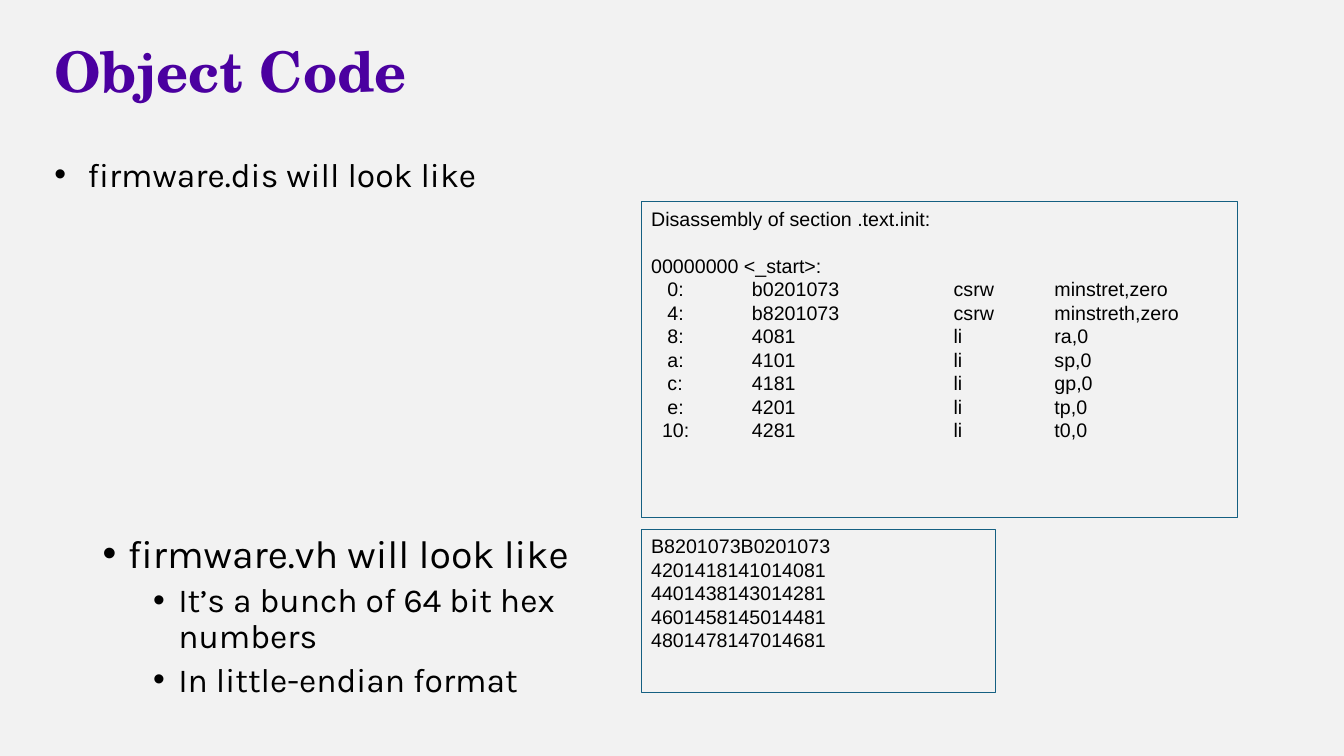
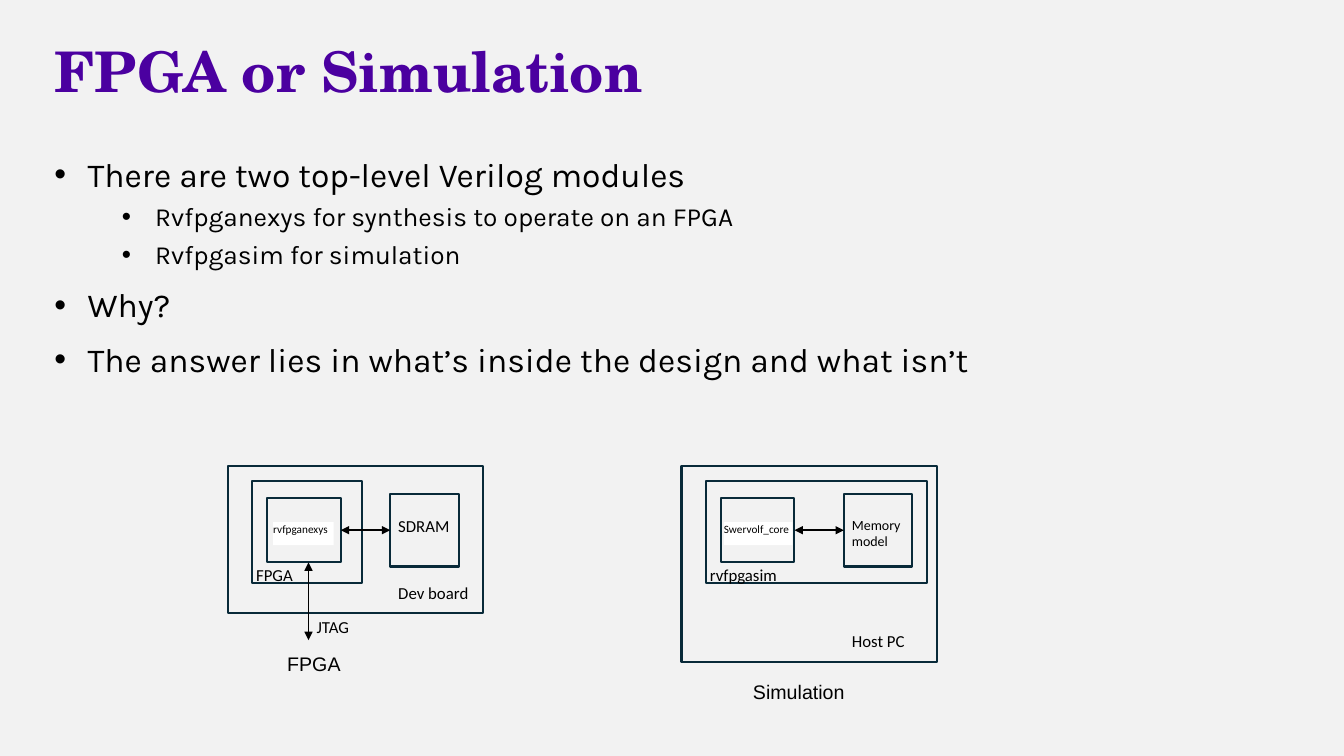
from dataclasses import dataclass

from lxml import etree
from pptx import Presentation
from pptx.dml.color import RGBColor
from pptx.enum.shapes import MSO_CONNECTOR, MSO_SHAPE
from pptx.enum.text import MSO_ANCHOR, PP_ALIGN
from pptx.oxml.ns import qn
from pptx.util import Inches, Pt

RECTANGLE = MSO_SHAPE.RECTANGLE
STRAIGHT = MSO_CONNECTOR.STRAIGHT
LEFT = PP_ALIGN.LEFT
TOP, MIDDLE = MSO_ANCHOR.TOP, MSO_ANCHOR.MIDDLE
SIDE_LEFT, SIDE_RIGHT = 1, 3


@dataclass(frozen=True)
class Theme:
    background: str = "F2F2F2"
    title: str = "4B00A0"
    text: str = "000000"
    white: str = "FFFFFF"
    code_border: str = "156082"
    block_border: str = "092A39"
    title_font: str = "TeX Gyre Schola"
    body_font: str = "Karla"
    code_font: str = "Arial"
    label_font: str = "Calibri"
    title_size: float = 40
    code_size: float = 14
    code_pitch: float = 16.8
    label_size: float = 12
    small_label_size: float = 10
    module_size: float = 8


THEME = Theme()


@dataclass(frozen=True)
class Bullet:
    size: float
    margin: float
    hanging: float
    before: float
    level: int = 0


MAIN = Bullet(24, 0.33, 0.33, 13.3)
SUB = Bullet(18.7, 1, 0.33, 6.7, 1)
NOTE = Bullet(28, 0.25, 0.25, 10)
SUBNOTE = Bullet(24, 0.75, 0.25, 5, 1)


# Text
def write(frame, text, *, size, font, color=THEME.text, bold=False,
          bullet=None, tabs=(), spacing=None, before=0, after=0):
    """Add one formatted paragraph to a text frame."""
    first = not frame.text
    paragraph = frame.paragraphs[0] if first else frame.add_paragraph()
    paragraph.alignment = LEFT
    if spacing:
        paragraph.line_spacing = spacing
    paragraph.space_before = Pt(0 if first else before)
    paragraph.space_after = Pt(after)
    properties = paragraph._p.get_or_add_pPr()
    if bullet:
        paragraph.level = bullet.level
        properties.set("marL", str(Inches(bullet.margin)))
        properties.set("indent", str(-Inches(bullet.hanging)))
        etree.SubElement(properties, qn("a:buFont"), typeface="Arial")
        etree.SubElement(properties, qn("a:buChar"), char="•")
    if tabs:
        tab_list = etree.SubElement(properties, qn("a:tabLst"))
        for stop in tabs:
            etree.SubElement(tab_list, qn("a:tab"), pos=str(Inches(stop)), algn="l")
    run = paragraph.add_run()
    run.text = text
    run.font.size = Pt(size)
    run.font.name = font
    run.font.bold = bold
    run.font.color.rgb = RGBColor.from_string(color)


def prepare(frame, anchor=TOP, inset=True):
    frame.word_wrap = True
    frame.vertical_anchor = anchor
    if not inset:
        frame.margin_left = frame.margin_right = 0
        frame.margin_top = frame.margin_bottom = 0
    return frame


def add_text_box(shapes, box, **options):
    shape = shapes.add_textbox(*map(Inches, box))
    return prepare(shape.text_frame, **options)


def add_bullets(slide, box, items):
    frame = add_text_box(slide.shapes, box)
    for bullet, text in items:
        write(frame, text, size=bullet.size, font=THEME.body_font,
              bullet=bullet, spacing=0.9, before=bullet.before)


# Shapes
def add_rectangle(shapes, box, *, border=None, width=1.5, fill=None):
    shape = shapes.add_shape(RECTANGLE, *map(Inches, box))
    shape.shadow.inherit = False
    if fill:
        shape.fill.solid()
        shape.fill.fore_color.rgb = RGBColor.from_string(fill)
    else:
        shape.fill.background()
    if border:
        shape.line.color.rgb = RGBColor.from_string(border)
        shape.line.width = Pt(width)
    else:
        shape.line.fill.background()
    return shape


def add_double_arrow(shapes, start, end, width):
    arrow = shapes.add_connector(STRAIGHT, *map(Inches, (*start, *end)))
    arrow.line.color.rgb = RGBColor.from_string(THEME.text)
    arrow.line.width = Pt(width)
    line = arrow.line._get_or_add_ln()
    for tag in ("a:headEnd", "a:tailEnd"):
        etree.SubElement(line, qn(tag), type="triangle")
    etree.SubElement(arrow._element.spPr, qn("a:effectLst"))
    return arrow


def add_code_box(slide, box, lines, gap_before=None, tabs=()):
    shape = add_rectangle(slide.shapes, box, border=THEME.code_border, width=0.75)
    frame = prepare(shape.text_frame)
    for index, line in enumerate(lines):
        write(frame, line, size=THEME.code_size, font=THEME.code_font, tabs=tabs,
              spacing=Pt(THEME.code_pitch),
              before=THEME.code_pitch if index == gap_before else 0)


def add_label(shapes, box, text, size=THEME.label_size):
    frame = add_text_box(shapes, box, inset=False)
    write(frame, text, size=size, font=THEME.label_font, after=6)


# Block diagram: a host around a design, with a core linked to a memory
def add_diagram(slide, left, *, host_height, design_width, core, core_label,
                memory, memory_size, design, host, host_label_top, caption,
                caption_at):
    shapes = slide.shapes.add_group_shape().shapes
    blocks = [add_rectangle(shapes, (left + offset, top, width, height),
                            border=THEME.block_border)
              for offset, top, width, height in (
                  (0, 4.62, 2.53, host_height),
                  (0.24, 4.77, design_width, 1.01),
                  (0.39, 4.94, 0.73, 0.64),
                  (1.61, 4.9, 0.68, 0.72))]
    core_block, memory_block = blocks[2:]

    link = add_double_arrow(shapes, (left + 1.12, 5.26), (left + 1.61, 5.26), 1.75)
    link.begin_connect(core_block, SIDE_RIGHT)
    link.end_connect(memory_block, SIDE_LEFT)

    add_label(shapes, (left + 1.69, host_label_top, 0.74, 0.23), host)
    add_label(shapes, (left + 1.69, 5.12, 0.54, 0.4), memory, memory_size)
    add_label(shapes, (left + 0.28, 5.6, 0.77, 0.23), design)

    offset, width = core_label
    plate = add_rectangle(shapes, (left + offset, 5.18, width, 0.23), fill=THEME.white)
    write(prepare(plate.text_frame, inset=False), core, size=THEME.module_size,
          font=THEME.label_font, after=6)

    offset, top = caption_at
    frame = add_text_box(shapes, (left + offset, top, 1.7, 0.4))
    write(frame, caption, size=THEME.code_size, font=THEME.code_font)
    return shapes


# Slides
def add_slide(presentation, title):
    slide = presentation.slides.add_slide(presentation.slide_layouts[6])
    frame = add_text_box(slide.shapes, (0.44, 0.22, 12.44, 1.03), anchor=MIDDLE)
    write(frame, title, size=THEME.title_size, font=THEME.title_font,
          color=THEME.title, bold=True, spacing=0.9)
    return slide


def build_object_code(presentation):
    slide = add_slide(presentation, "Object Code")
    add_bullets(slide, (0.44, 1.52, 12.45, 5.14),
                [(MAIN, "firmware.dis will look like")])
    instructions = (
        ("   0:", "b0201073", "csrw", "minstret,zero"),
        ("   4:", "b8201073", "csrw", "minstreth,zero"),
        ("   8:", "4081", "li", "ra,0"),
        ("   a:", "4101", "li", "sp,0"),
        ("   c:", "4181", "li", "gp,0"),
        ("   e:", "4201", "li", "tp,0"),
        ("  10:", "4281", "li", "t0,0"),
    )
    add_code_box(slide, (6.36, 2, 5.91, 3.13),
                 ["Disassembly of section .text.init:", "00000000 <_start>:",
                  *map("\t".join, instructions)],
                 gap_before=1, tabs=(1, 3, 4))
    add_bullets(slide, (0.92, 5.25, 4.99, 1.97), [
        (NOTE, "firmware.vh will look like"),
        (SUBNOTE, "It’s a bunch of 64 bit hex numbers"),
        (SUBNOTE, "In little-endian format"),
    ])
    add_code_box(slide, (6.36, 5.25, 3.51, 1.62), [
        "B8201073B0201073", "4201418141014081", "4401438143014281",
        "4601458145014481", "4801478147014681"])


def build_fpga_or_simulation(presentation):
    slide = add_slide(presentation, "FPGA or Simulation")
    add_bullets(slide, (0.44, 1.52, 12.45, 5.14), [
        (MAIN, "There are two top-level Verilog modules"),
        (SUB, "Rvfpganexys for synthesis to operate on an FPGA"),
        (SUB, "Rvfpgasim for simulation"),
        (MAIN, "Why?"),
        (MAIN, "The answer lies in what’s inside the design and what isn’t"),
    ])
    board = add_diagram(
        slide, 2.26, host_height=1.46, design_width=1.09,
        core="rvfpganexys", core_label=(0.45, 0.6),
        memory="SDRAM", memory_size=THEME.label_size, design="FPGA",
        host="Dev board", host_label_top=5.78,
        caption="FPGA", caption_at=(0.49, 6.42))
    add_double_arrow(board, (3.06, 5.58), (3.06, 6.35), 1)
    add_label(board, (3.14, 6.12, 0.44, 0.23), "JTAG")
    add_diagram(
        slide, 6.76, host_height=1.95, design_width=2.19,
        core="Swervolf_core", core_label=(0.42, 0.68),
        memory="Memory model", memory_size=THEME.small_label_size,
        design="rvfpgasim", host="Host PC", host_label_top=6.26,
        caption="Simulation", caption_at=(0.61, 6.7))


def main():
    presentation = Presentation()
    presentation.slide_width = Inches(13.33)
    presentation.slide_height = Inches(7.5)
    fill = presentation.slide_master.background.fill
    fill.solid()
    fill.fore_color.rgb = RGBColor.from_string(THEME.background)
    build_object_code(presentation)
    build_fpga_or_simulation(presentation)
    presentation.save("out.pptx")


if __name__ == "__main__":
    main()
